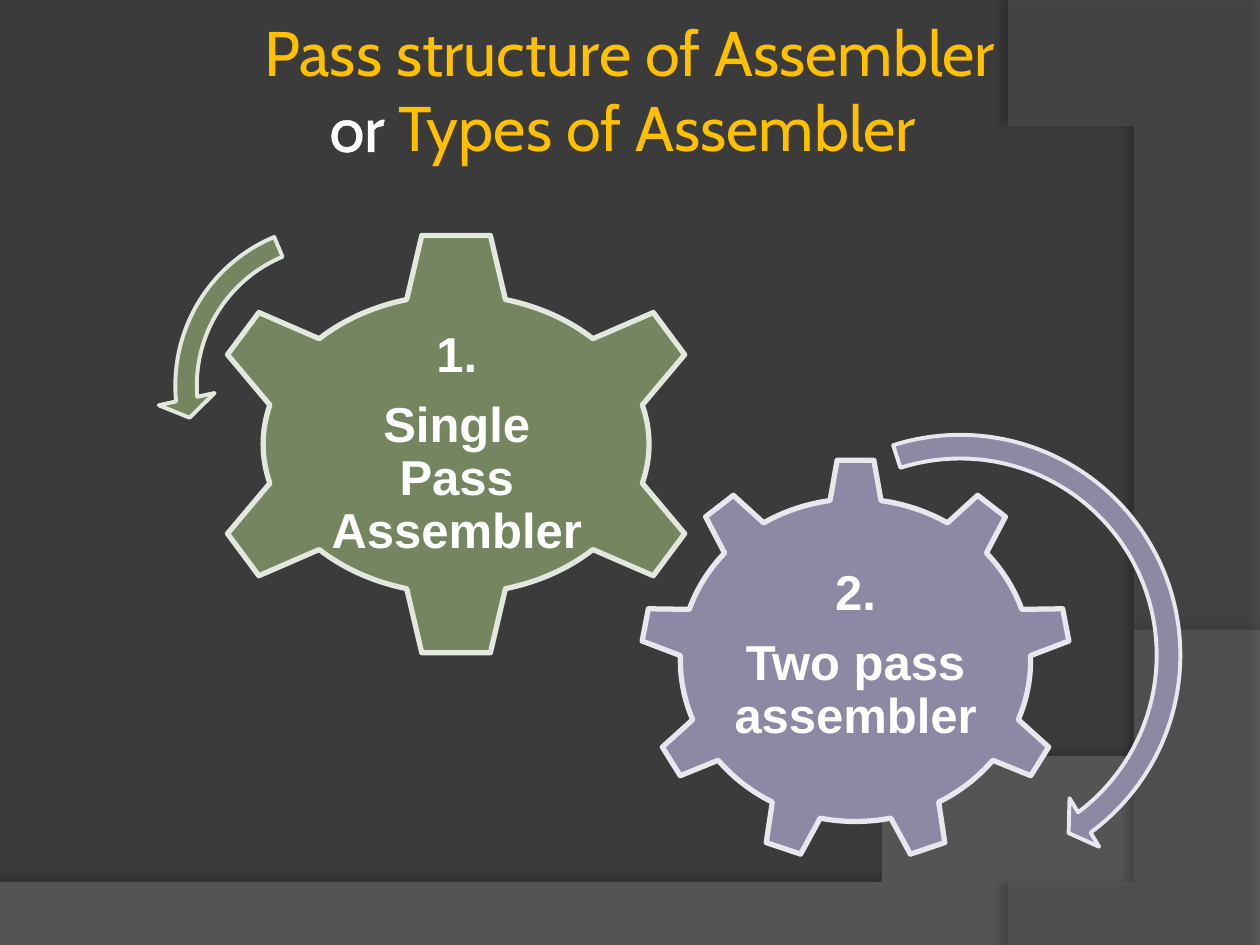
from lxml import etree
from pptx import Presentation
from pptx.dml.color import RGBColor
from pptx.enum.shapes import MSO_SHAPE
from pptx.enum.text import MSO_ANCHOR, MSO_AUTO_SIZE, PP_ALIGN
from pptx.oxml import parse_xml
from pptx.oxml.ns import nsdecls, qn
from pptx.util import Inches, Pt

BACKGROUND = RGBColor(0x3B, 0x3B, 0x3B)
LOWER_WAVE = RGBColor(0x7F, 0x7F, 0x7F)
RIGHT_WAVE = RGBColor(0x5E, 0x5E, 0x5E)
GOLD = RGBColor(0xFF, 0xC0, 0x00)
WHITE = RGBColor(0xFF, 0xFF, 0xFF)
GREEN = RGBColor(0x74, 0x85, 0x60)
GREEN_EDGE = RGBColor(0xE3, 0xE7, 0xDE)
PURPLE = RGBColor(0x8D, 0x89, 0xA4)
PURPLE_EDGE = RGBColor(0xE8, 0xE7, 0xED)

CURVE_STEPS = 40


def set_format(target, values):
    for name, value in values.items():
        setattr(target, name, value)


def curve(start, control_1, control_2, end):
    """Points along a cubic Bezier curve, without its start."""
    points = []
    for step in range(1, CURVE_STEPS + 1):
        t = step / CURVE_STEPS
        weights = ((1 - t) ** 3, 3 * t * (1 - t) ** 2, 3 * t * t * (1 - t), t ** 3)
        corners = (start, control_1, control_2, end)
        points.append(tuple(sum(w * c[axis] for w, c in zip(weights, corners))
                            for axis in (0, 1)))
    return points


def add_wave(slide, points, color, opacity, shadow_opacity, distance, direction):
    """Translucent background area with a soft shadow along its edge."""
    builder = slide.shapes.build_freeform(*points[0], scale=Inches(1))
    builder.add_line_segments(points[1:], close=True)
    wave = builder.convert_to_shape()
    wave.fill.solid()
    wave.fill.fore_color.rgb = color
    wave.line.fill.background()
    fill_color = wave.fill._xPr.find(qn("a:solidFill"))[0]
    etree.SubElement(fill_color, qn("a:alpha"), val=str(opacity * 1000))
    wave._element.spPr.append(parse_xml(
        f'<a:effectLst {nsdecls("a")}><a:outerShdw blurRad="{Pt(4)}" '
        f'dist="{Pt(distance)}" dir="{direction * 60000}" algn="ctr" rotWithShape="0">'
        f'<a:srgbClr val="000000"><a:alpha val="{shadow_opacity * 1000}"/></a:srgbClr>'
        '</a:outerShdw></a:effectLst>'))


def add_preset(slide, kind, box, color, edge, edge_width, adjustments=()):
    preset = slide.shapes.add_shape(kind, *map(Inches, box))
    for index, value in enumerate(adjustments):
        preset.adjustments[index] = value
    preset.shadow.inherit = False
    preset.fill.solid()
    preset.fill.fore_color.rgb = color
    preset.line.color.rgb = edge
    preset.line.width = Pt(edge_width)


def set_frame(frame, inset):
    set_format(frame, {"word_wrap": True, "auto_size": MSO_AUTO_SIZE.NONE,
                       "vertical_anchor": MSO_ANCHOR.MIDDLE})
    set_format(frame, {f"margin_{side}": Inches(inset)
                       for side in ("left", "top", "right", "bottom")})


def add_run(paragraph, text, color, **font):
    run = paragraph.add_run()
    run.text = text
    set_format(run.font, font)
    run.font.color.rgb = color
    return run


def add_gear_label(slide, box, lines):
    frame = slide.shapes.add_textbox(*map(Inches, box)).text_frame
    set_frame(frame, 0.04)
    for index, line in enumerate(lines):
        paragraph = frame.add_paragraph() if index else frame.paragraphs[0]
        set_format(paragraph, {"alignment": PP_ALIGN.CENTER, "line_spacing": 0.9,
                               "space_after": Pt(9.8)})
        add_run(paragraph, line, WHITE, name="Arial", size=Pt(28), bold=True)


def fill_title(title):
    set_format(title, {"left": Inches(0.5), "top": Inches(0.08),
                       "width": Inches(9), "height": Inches(1.25)})
    set_frame(title.text_frame, 0.05)
    heading = title.text_frame.paragraphs[0]
    heading.alignment = PP_ALIGN.CENTER
    font = {"name": "Cabin", "size": Pt(36)}
    add_run(heading, "Pass structure of Assembler", GOLD, **font)
    heading.add_line_break()
    joiner = add_run(heading, "or ", WHITE, **font)
    add_run(heading, "Types of Assembler ", GOLD, **font)
    # White outline around the joining word
    joiner.font._element.insert(0, parse_xml(
        f'<a:ln {nsdecls("a")} w="{Pt(1.45)}"><a:solidFill>'
        f'<a:srgbClr val="{WHITE}"/></a:solidFill></a:ln>'))


def main():
    deck = Presentation()
    set_format(deck, {"slide_width": Inches(10), "slide_height": Inches(7.5)})
    slide = deck.slides.add_slide(deck.slide_layouts[5])
    slide.background.fill.solid()
    slide.background.fill.fore_color.rgb = BACKGROUND

    # Background waves
    lower = [(0, 7.05), (0, 7.51), (10, 7.51), (10, 5.2)]
    lower += curve(lower[-1], (5.59, 7.29), (3.91, 7.19), lower[0])
    add_wave(slide, lower, LOWER_WAVE, 45, 35, 3.5, 270)
    right = [(10, 0.02), (10, 7.5), (8.21, 7.5)]
    right += curve(right[-1], (9.35, 6.19), (10.18, 3), (8, 0))
    add_wave(slide, right, RIGHT_WAVE, 40, 45, 4, 180)

    fill_title(slide.shapes.title)

    # Gears with their labels
    add_preset(slide, MSO_SHAPE.GEAR_9, (5.08, 3.64, 3.42, 3.2), PURPLE, PURPLE_EDGE, 3)
    add_gear_label(slide, (5.75, 4.39, 2.08, 1.64), ["2.", "Two pass assembler"])
    add_preset(slide, MSO_SHAPE.GEAR_6, (1.58, 1.83, 4.08, 3.39), GREEN, GREEN_EDGE, 3)
    add_gear_label(slide, (2.54, 2.69, 2.17, 1.67), ["1.", "Single Pass Assembler"])

    # Arrows showing the turning direction
    add_preset(slide, MSO_SHAPE.CIRCULAR_ARROW, (5.74, 3.32, 3.76, 3.76),
               PURPLE, PURPLE_EDGE, 2.25, (0.05, 3.13, 32.04, 151.4, 0.06))
    add_preset(slide, MSO_SHAPE.LEFT_CIRCULAR_ARROW, (1.25, 1.64, 2.84, 2.84),
               GREEN, GREEN_EDGE, 2.25, (0.06, 4.3, 104.89, 148.38, 0.08))

    deck.save("out.pptx")


if __name__ == "__main__":
    main()
